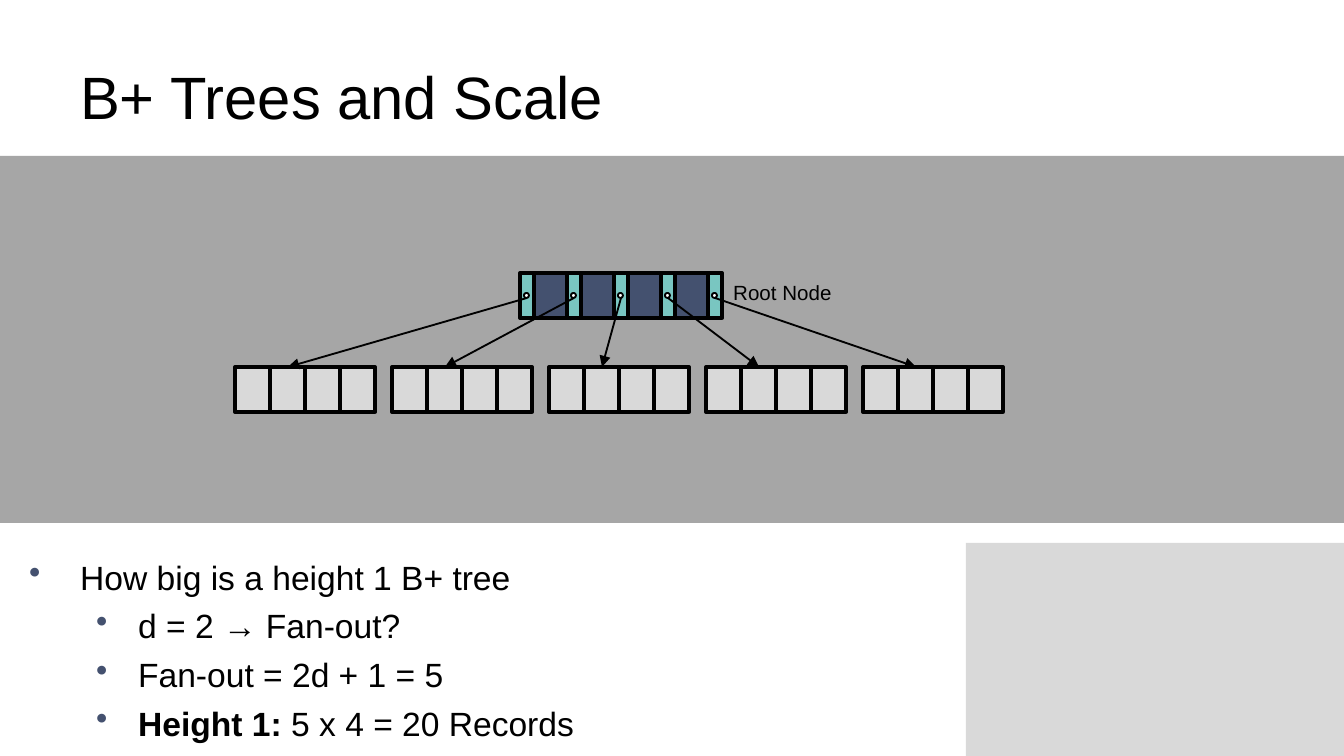
from dataclasses import dataclass

from lxml import etree
from pptx import Presentation
from pptx import util as u
from pptx.dml.color import RGBColor
from pptx.enum import shapes, text
from pptx.oxml.ns import qn

SCALE = 9144000 / 1344  # EMU per px


@dataclass(frozen=True)
class Theme:
    font: str = "Arial"
    black: str = "000000"
    white: str = "FFFFFF"
    band: str = "A6A6A6"
    light: str = "D9D9D9"
    key: str = "44516F"
    pointer: str = "79C6C1"
    title_pt: int = 32
    body_pt: int = 18
    label_pt: int = 11
    cell_line_pt: int = 2
    thin_line_pt: int = 1


@dataclass(frozen=True)
class Box:
    x: int
    y: int
    w: int
    h: int


@dataclass(frozen=True)
class Bullet:
    runs: tuple  # (text, bold) pairs
    indent: int
    hang: int


T = Theme()
FAN_OUT, KEYS = 5, 4
ROOT = Box(520, 273, 14, 45)   # first pointer cell
KEY_W = 33
LEAF = Box(235, 367, 35, 45)   # first record cell
LEAF_PITCH = 157
DOT, DOT_Y = 5, 295

BULLETS = (
    Bullet((("How big is a height 1 B+ tree", False),), 51, 51),
    Bullet((("d = 2 → Fan-out?", False),), 109, 42),
    Bullet((("Fan-out = 2d + 1 = 5", False),), 109, 42),
    Bullet((("Height 1:", True), (" 5 x 4 = 20 Records", False)), 109, 42),
)


def px(n: float) -> int:
    return round(n * SCALE)


def rgb(color: str) -> RGBColor:
    return RGBColor.from_string(color)


def add_shape(parent, box: Box, fill: str, line_pt: int = 0,
              kind=shapes.MSO_SHAPE.RECTANGLE) -> None:
    sp = parent.add_shape(kind, px(box.x), px(box.y), px(box.w), px(box.h))
    sp.shadow.inherit = False
    sp.fill.solid()
    sp.fill.fore_color.rgb = rgb(fill)
    if line_pt:
        sp.line.color.rgb = rgb(T.black)
        sp.line.width = u.Pt(line_pt)
    else:
        sp.line.fill.background()


def style(font, size: int) -> None:
    font.name, font.size = T.font, u.Pt(size)
    font.color.rgb = rgb(T.black)


def add_text(s, box: Box, words: str, size: int,
             anchor=text.MSO_ANCHOR.TOP, wrap: bool = True):
    tb = s.shapes.add_textbox(px(box.x), px(box.y), px(box.w), px(box.h))
    tf = tb.text_frame
    tf.word_wrap, tf.vertical_anchor = wrap, anchor
    if words:
        tf.text = words
        style(tf.paragraphs[0].runs[0].font, size)
    return tf


def add_bullets(s, box: Box, bullets: tuple) -> None:
    tf = add_text(s, box, "", T.body_pt)
    for i, b in enumerate(bullets):
        p = tf.paragraphs[0] if i == 0 else tf.add_paragraph()
        p.level = 1 if i else 0
        if i:
            p.space_before = u.Pt(4.5)
        pPr = p._p.get_or_add_pPr()
        pPr.set("marL", str(px(b.indent)))
        pPr.set("indent", str(-px(b.hang)))
        color = etree.SubElement(pPr, qn("a:buClr"))
        etree.SubElement(color, qn("a:srgbClr"), val=T.key)
        etree.SubElement(pPr, qn("a:buChar"), char="•")
        for words, bold in b.runs:
            r = p.add_run()
            r.text = words
            style(r.font, T.body_pt)
            r.font.bold = bold


def add_arrow(s, x1: int, y1: int, x2: int, y2: int) -> None:
    c = s.shapes.add_connector(shapes.MSO_CONNECTOR.STRAIGHT,
                               px(x1), px(y1), px(x2), px(y2))
    c.line.color.rgb = rgb(T.black)
    c.line.width = u.Pt(T.thin_line_pt)
    etree.SubElement(c.line._get_or_add_ln(), qn("a:tailEnd"), type="triangle")
    etree.SubElement(c._element.spPr, qn("a:effectLst"))


def pointer_x(i: int) -> int:
    return ROOT.x + i * (ROOT.w + KEY_W)


def add_root(s) -> None:
    node = s.shapes.add_group_shape().shapes
    for i in range(KEYS):
        add_shape(node, Box(pointer_x(i) + ROOT.w, ROOT.y, KEY_W, ROOT.h),
                  T.key, T.cell_line_pt)
    for i in range(FAN_OUT):
        x = pointer_x(i)
        add_shape(node, Box(x, ROOT.y, ROOT.w, ROOT.h), T.pointer, T.cell_line_pt)
        add_shape(node, Box(x + (ROOT.w - DOT) // 2, DOT_Y - DOT // 2, DOT, DOT),
                  T.white, T.thin_line_pt, shapes.MSO_SHAPE.OVAL)


def add_leaf(s, x: int) -> None:
    node = s.shapes.add_group_shape().shapes
    for i in range(KEYS):
        add_shape(node, Box(x + i * LEAF.w, LEAF.y, LEAF.w, LEAF.h),
                  T.light, T.cell_line_pt)


def main() -> None:
    prs = Presentation()
    prs.slide_width, prs.slide_height = px(1344), px(756)
    s = prs.slides.add_slide(prs.slide_layouts[6])

    # Corner panel, title and bullets
    add_shape(s.shapes, Box(966, 543, 378, 213), T.light)
    add_text(s, Box(67, 33, 1210, 126), "B+ Trees and Scale", T.title_pt,
             text.MSO_ANCHOR.MIDDLE)
    add_bullets(s, Box(16, 550, 1210, 200), BULLETS)

    # Band with the root node
    add_shape(s.shapes, Box(0, 156, 1344, 367), T.band)
    add_root(s)
    add_text(s, Box(720, 273, 128, 39), "Root Node", T.label_pt, wrap=False)

    # Leaves, each reached from its pointer
    for i in range(FAN_OUT):
        x = LEAF.x + i * LEAF_PITCH
        add_leaf(s, x)
        add_arrow(s, pointer_x(i) + ROOT.w // 2, 298, x + LEAF.w * 3 // 2 + 1, LEAF.y)

    prs.save("out.pptx")


if __name__ == "__main__":
    main()
